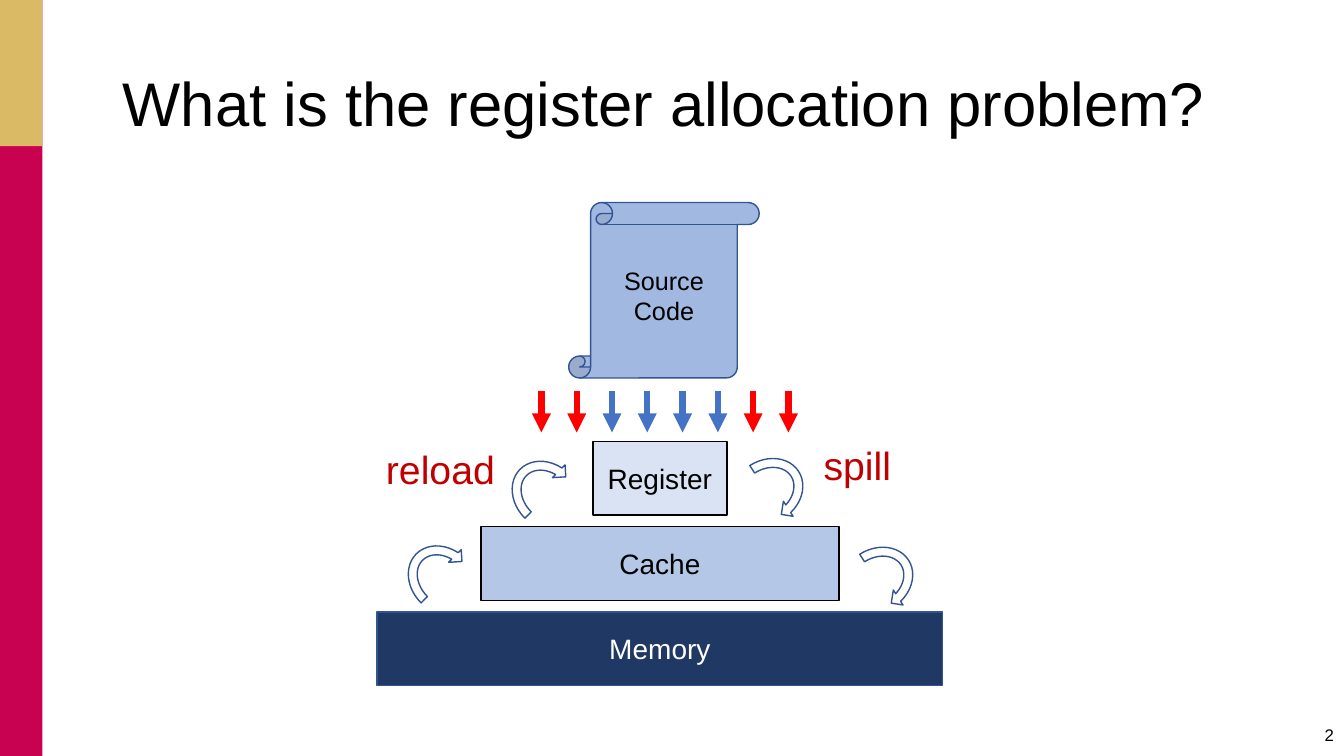
from lxml import etree
from pptx import Presentation
from pptx.dml.color import RGBColor
from pptx.enum.shapes import MSO_CONNECTOR, MSO_SHAPE as Shape
from pptx.enum.text import MSO_ANCHOR as Anchor, MSO_AUTO_SIZE as AutoSize, PP_ALIGN as Align
from pptx.oxml.ns import qn
from pptx.util import Inches, Pt

FONT = "Arial"
BLACK, WHITE, RED = "000000", "FFFFFF", "FF0000"
BLUE, OUTLINE, LABEL_RED = "4472C4", "325491", "C00000"


def rgb(color):
    return RGBColor.from_string(color)


def write(frame, text, size, color=BLACK, align=Align.LEFT, anchor=Anchor.MIDDLE):
    frame.text = text
    frame.vertical_anchor = anchor
    for paragraph in frame.paragraphs:
        paragraph.alignment = align
        paragraph.font.name = FONT
        paragraph.font.size = Pt(size)
        paragraph.font.color.rgb = rgb(color)


def add_block(slide, kind, box, fill, line=None):
    block = slide.shapes.add_shape(kind, *map(Inches, box))
    block.shadow.inherit = False
    block.fill.solid()
    block.fill.fore_color.rgb = rgb(fill)
    if line:
        block.line.color.rgb = rgb(line)
        block.line.width = Pt(1)
    else:
        block.line.fill.background()
    return block


def add_text(slide, box, text, size, wrap=True, **style):
    frame = slide.shapes.add_textbox(*map(Inches, box)).text_frame
    frame.word_wrap = wrap
    frame.auto_size = AutoSize.NONE if wrap else AutoSize.SHAPE_TO_FIT_TEXT
    write(frame, text, size, **style)
    return frame


def add_down_arrow(slide, x, top, bottom, color):
    arrow = slide.shapes.add_connector(
        MSO_CONNECTOR.STRAIGHT, Inches(x), Inches(top), Inches(x), Inches(bottom))
    arrow.line.color.rgb = rgb(color)
    arrow.line.width = Pt(4.5)
    etree.SubElement(arrow.line._get_or_add_ln(), qn("a:tailEnd"), type="triangle")
    etree.SubElement(arrow._element.spPr, qn("a:effectLst"))


def add_curved_arrow(slide, left, top, rotation):
    arrow = add_block(slide, Shape.CIRCULAR_ARROW, (left, top, 0.71, 0.84), WHITE, OUTLINE)
    arrow.rotation = rotation


def add_source_scroll(slide):
    scroll = add_block(slide, Shape.VERTICAL_SCROLL, (5.64, 2.01, 1.89, 1.74), BLUE, OUTLINE)
    fill_color = scroll._element.spPr.find(qn("a:solidFill"))[0]
    etree.SubElement(fill_color, qn("a:alpha"), val="50000")
    write(scroll.text_frame, "Source\nCode", 18, align=Align.CENTER)


def main():
    prs = Presentation()
    prs.slide_width, prs.slide_height = Inches(13.33), Inches(7.5)
    slide = prs.slides.add_slide(prs.slide_layouts[6])

    # Side band, title and page number
    add_block(slide, Shape.RECTANGLE, (0, 0, 0.42, 7.5), "C80150")
    add_block(slide, Shape.RECTANGLE, (0, 0, 0.42, 1.45), "DABA65")
    title = add_text(slide, (1.12, 0.33, 11.5, 1.45),
                     "What is the register allocation problem?", 44)
    title.paragraphs[0].line_spacing = 0.9
    add_text(slide, (9.6, 7.09, 3.73, 0.4), "2", 12, align=Align.RIGHT)

    # Memory hierarchy, centred and widening downwards
    tiers = [
        ("Register", 1.33, "DAE3F3", BLACK, BLACK),
        ("Cache", 3.55, "B4C7E7", BLACK, BLACK),
        ("Memory", 5.61, "203864", OUTLINE, WHITE),
    ]
    for level, (name, width, fill, line, color) in enumerate(tiers):
        box = (6.545 - width / 2, 4.38 + 0.845 * level, width, 0.73)
        tier = add_block(slide, Shape.RECTANGLE, box, fill, line)
        write(tier.text_frame, name, 20, color, Align.CENTER)

    # Source code and its values flowing down; the outer ones do not fit
    add_source_scroll(slide)
    for i, color in enumerate([RED] * 2 + [BLUE] * 4 + [RED] * 2):
        add_down_arrow(slide, 5.37 + 0.35 * i, 3.88, 4.29, color)

    # Reload on the left, spill on the right
    for left, top, rotation in [(5.07, 4.5, 314.6), (4.04, 5.34, 314.6),
                                (7.25, 4.46, 57.2), (8.34, 5.34, 57.2)]:
        add_curved_arrow(slide, left, top, rotation)
    for label, box in [("reload", (3.73, 4.37, 1.3, 0.57)),
                       ("spill", (8.07, 4.33, 0.88, 0.57))]:
        add_text(slide, box, label, 28, wrap=False, color=LABEL_RED, anchor=Anchor.TOP)

    prs.save("out.pptx")


if __name__ == "__main__":
    main()
